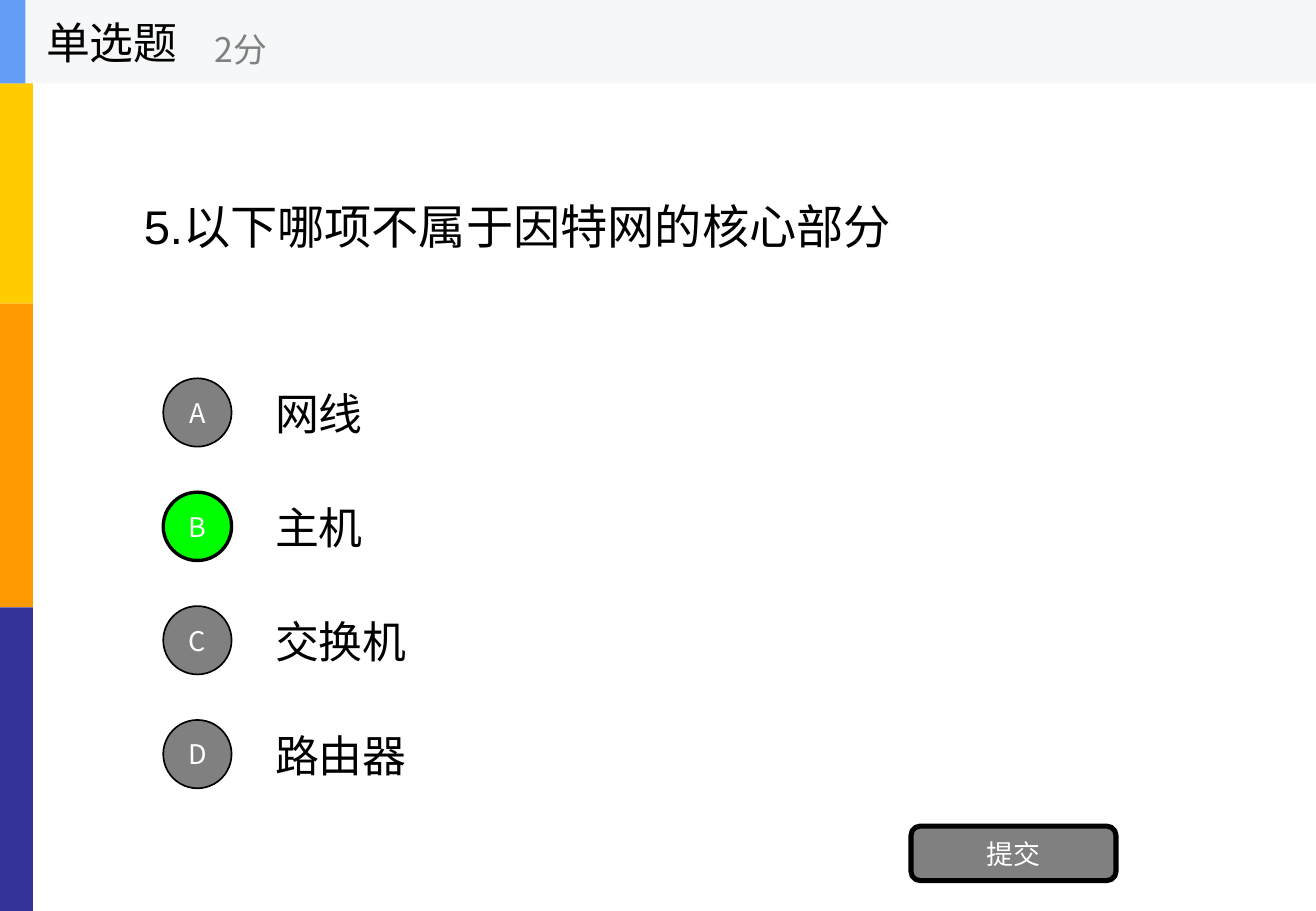
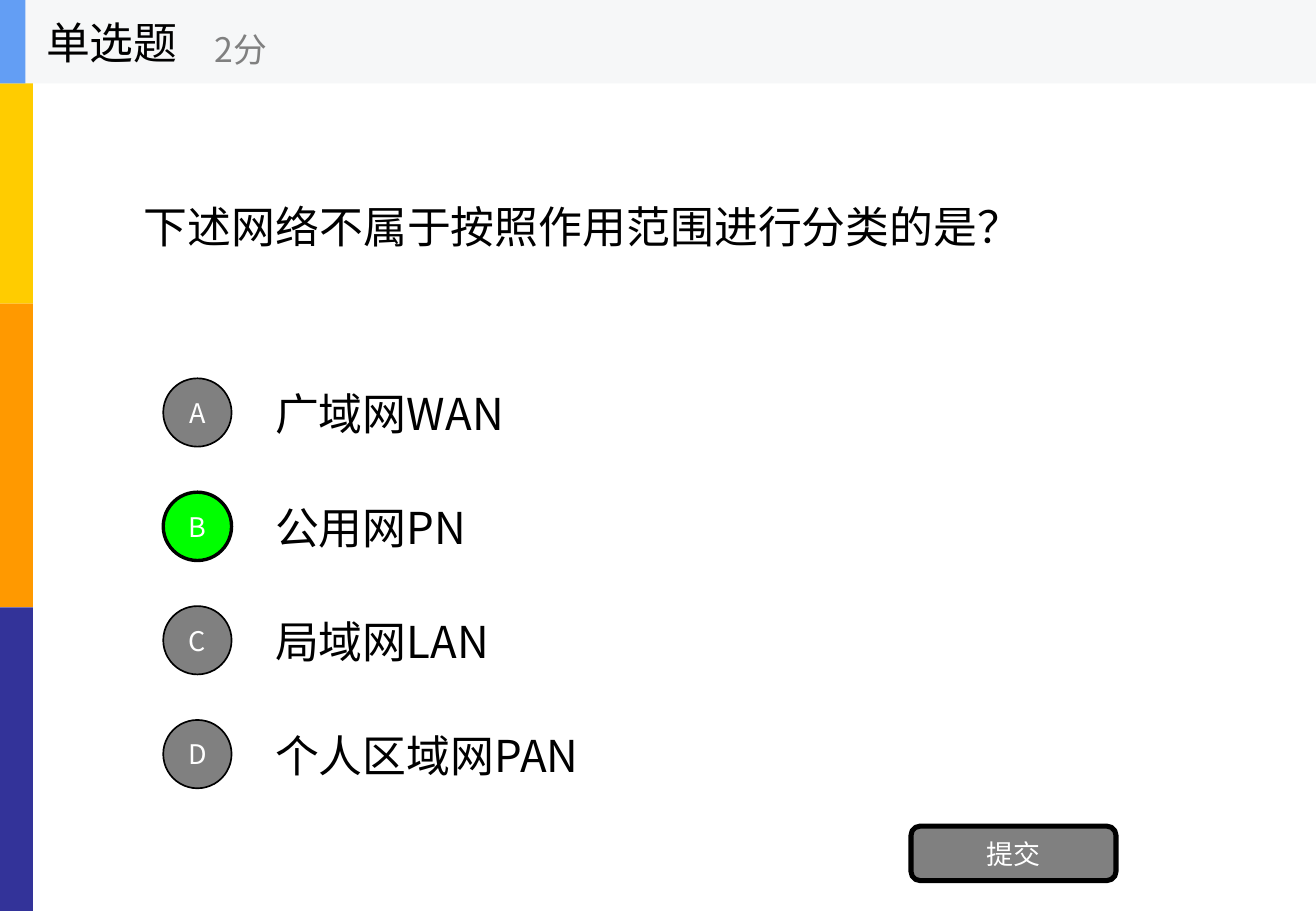
"""Builds two single-choice quiz slides."""
from lxml.etree import SubElement
from pptx import Presentation
from pptx.dml.color import RGBColor
from pptx.enum.shapes import MSO_SHAPE
from pptx.enum.text import MSO_ANCHOR, PP_ALIGN
from pptx.oxml.ns import qn
from pptx.util import Pt

SANS = "Noto Sans CJK SC"
BLACK = RGBColor(0x00, 0x00, 0x00)
WHITE = RGBColor(0xFF, 0xFF, 0xFF)
GRAY = RGBColor(0x80, 0x80, 0x80)
GREEN = RGBColor(0x00, 0xFF, 0x00)
PALE = RGBColor(0xF6, 0xF7, 0xF8)
BLUE = RGBColor(0x63, 0x9E, 0xF4)
BANDS = [
    RGBColor(0xFF, 0xCC, 0x00),
    RGBColor(0xFF, 0x99, 0x00),
    RGBColor(0x33, 0x33, 0x99),
]

HEAD, SCORE, SUBMIT = "单选题", "2分", "提交"
QUIZ = [
    {
        "ask": "5.以下哪项不属于因特网的核心部分",
        "font": "Arial",
        "size": 28,
        "items": ["网线", "主机", "交换机", "路由器"],
        "key": "B",
    },
    {
        "ask": "下述网络不属于按照作用范围进行分类的是？",
        "font": SANS,
        "size": 26,
        "items": ["广域网WAN", "公用网PN", "局域网LAN", "个人区域网PAN"],
        "key": "B",
    },
]

PX = 9525
WIDE, HIGH = 1040, 720
BAR = 66
STEP = 90


def scale(*box):
    return [n * PX for n in box]


def write(shape, text, size, color=BLACK, font=SANS, align=PP_ALIGN.LEFT):
    frame = shape.text_frame
    frame.word_wrap = True
    frame.vertical_anchor = MSO_ANCHOR.MIDDLE
    frame.text = text
    para = frame.paragraphs[0]
    para.alignment = align
    para.font.size = Pt(size)
    para.font.color.rgb = color
    para.font.name = font
    base = para._p.pPr.find(qn("a:defRPr"))
    SubElement(base, qn("a:ea"), typeface=SANS)


def label(shapes, box, text, size, color=BLACK):
    write(shapes.add_textbox(*scale(*box)), text, size, color)


def block(shapes, box, fill, kind=MSO_SHAPE.RECTANGLE, line=0):
    shape = shapes.add_shape(kind, *scale(*box))
    shape.shadow.inherit = False
    shape.fill.solid()
    shape.fill.fore_color.rgb = fill
    if line:
        shape.line.color.rgb = BLACK
        shape.line.width = Pt(line)
    else:
        shape.line.fill.background()
    return shape


def button(shapes, box, text, fill, kind, line):
    shape = block(shapes, box, fill, kind, line)
    write(shape, text, 16, WHITE, align=PP_ALIGN.CENTER)


def stripe(layout, slide):
    tall = HIGH // len(BANDS)
    for i, color in enumerate(BANDS):
        band = block(slide.shapes, (0, i * tall, 26, tall), color)
        layout.shapes.element.append(band.element)


def header(slide):
    parts = slide.shapes.add_group_shape().shapes
    block(parts, (0, 0, WIDE, BAR), PALE)
    block(parts, (0, 0, 20, BAR), BLUE)
    label(parts, (27, 0, 200, BAR), HEAD, 26)
    label(parts, (160, 12, 240, 54), SCORE, 20, GRAY)


def build(slide, quiz):
    title, shapes = slide.shapes.title, slide.shapes
    title.left, title.top, title.width, title.height = scale(104, BAR, 832, 225)
    write(title, quiz["ask"], quiz["size"], font=quiz["font"])
    for i, item in enumerate(quiz["items"]):
        label(shapes, (208, 293 + i * STEP, 728, 67), item, 26)
    for i in range(len(quiz["items"])):
        mark = "ABCD"[i]
        fill, line = (GREEN, 2) if mark == quiz["key"] else (GRAY, 1)
        box = (129, 299 + i * STEP, 54, 54)
        button(shapes, box, mark, fill, MSO_SHAPE.OVAL, line)
    box = (720, 653, 162, 43)
    button(shapes, box, SUBMIT, GRAY, MSO_SHAPE.ROUNDED_RECTANGLE, 3)
    header(slide)


def main():
    deck = Presentation()
    deck.slide_width, deck.slide_height = scale(WIDE, HIGH)
    layout = deck.slide_layouts[5]
    slides = [deck.slides.add_slide(layout) for _ in QUIZ]
    stripe(layout, slides[0])
    for slide, quiz in zip(slides, QUIZ):
        build(slide, quiz)
    deck.save("out.pptx")


if __name__ == "__main__":
    main()
